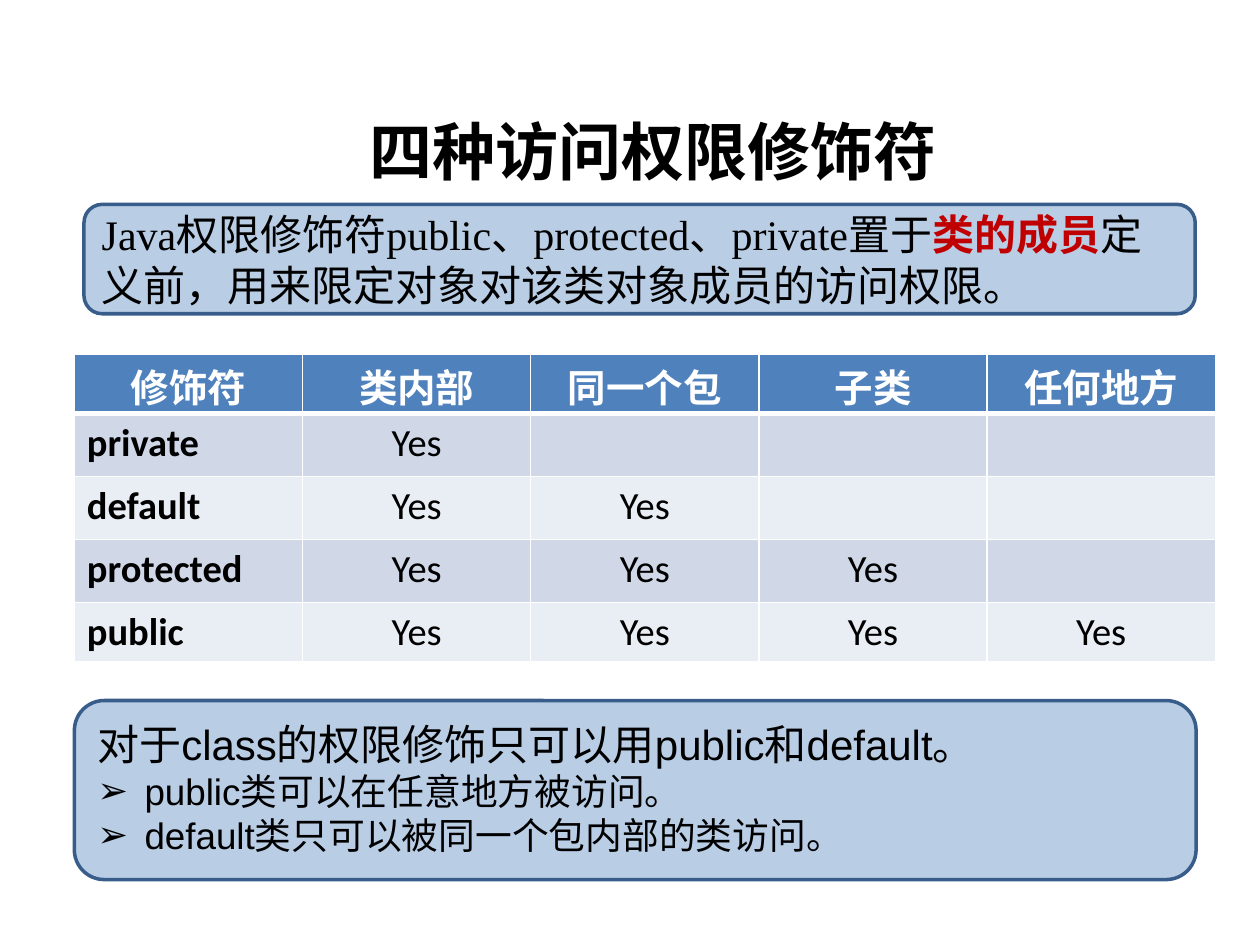
from lxml.etree import SubElement
from pptx import Presentation
from pptx.dml.color import RGBColor
from pptx.enum.shapes import MSO_SHAPE as Kind
from pptx.enum.text import MSO_ANCHOR as Anchor, PP_ALIGN as Align
from pptx.oxml.ns import qn
from pptx.util import Pt

HUES = {
    "panel": "B9CDE5", "edge": "385D8A", "text": "000000", "key": "C00000",
    "head": "4F81BD", "odd": "D0D8E8", "even": "E9EDF4", "white": "FFFFFF",
}
CJK = "Noto Sans CJK SC"
HEADS = ["修饰符", "类内部", "同一个包", "子类", "任何地方"]
LEVELS = ["private", "default", "protected", "public"]


def hue(name):
    return RGBColor.from_string(HUES[name])


def add_run(para, text, size, font, color="text", bold=False):
    run = para.add_run()
    run.text = text
    run.font.size, run.font.name, run.font.bold = Pt(size), font, bold
    run.font.color.rgb = hue(color)
    SubElement(run.font._element, qn("a:ea")).set("typeface", CJK)


def add_panel(slide, box):
    panel = slide.shapes.add_shape(Kind.ROUNDED_RECTANGLE, *map(Pt, box))
    panel.shadow.inherit = False
    panel.fill.solid()
    panel.fill.fore_color.rgb = hue("panel")
    panel.line.color.rgb = hue("edge")
    panel.line.width = Pt(2)
    return panel


def add_text(slide, box):
    frame = slide.shapes.add_textbox(*map(Pt, box)).text_frame
    frame.word_wrap = True
    return frame


def add_title(slide, box):
    para = add_text(slide, box).paragraphs[0]
    add_run(para, " 四种访问权限修饰符", 36, "Arial", bold=True)


def add_intro(slide, box):
    frame = add_panel(slide, box).text_frame
    frame.word_wrap = True
    frame.vertical_anchor = Anchor.MIDDLE
    para = frame.paragraphs[0]
    para.alignment = Align.LEFT
    font = "Times New Roman"
    add_run(para, "Java权限修饰符public、protected、private置于", 24, font)
    add_run(para, "类的成员", 24, font, "key", True)
    add_run(para, "定义前，用来限定对象对该类对象成员的访问权限。", 24, font)


def set_edges(cell, **widths):
    """Give a cell white borders, with widths in points by side."""
    props = cell._tc.get_or_add_tcPr()
    for i, (side, width) in enumerate(widths.items()):
        line = props.makeelement(qn(f"a:ln{side}"), {"w": str(Pt(width))})
        fill = SubElement(line, qn("a:solidFill"))
        SubElement(fill, qn("a:srgbClr")).set("val", HUES["white"])
        props.insert(i, line)


def fill_cell(cell, row, col):
    cell.fill.solid()
    shade = "head" if row == 0 else "odd" if row % 2 else "even"
    cell.fill.fore_color.rgb = hue(shade)
    set_edges(cell, L=1, R=1, T=3 if row == 1 else 1, B=1 if row else 3)
    cell.margin_top = Pt(3.6 if row else 2)
    cell.margin_bottom = Pt(2 if row else 0)
    para = cell.text_frame.paragraphs[0]
    para.alignment = Align.LEFT if row and not col else Align.CENTER
    if row == 0:
        add_run(para, HEADS[col], 22, CJK, "white", True)
    elif col == 0:
        add_run(para, LEVELS[row - 1], 22, "Calibri", bold=True)
    elif col <= row:
        add_run(para, "Yes", 22, "Calibri")
    else:
        para.font.size = Pt(22)


def add_grid(slide, box):
    rows, cols = len(LEVELS) + 1, len(HEADS)
    table = slide.shapes.add_table(rows, cols, *map(Pt, box)).table
    for col in table.columns:
        col.width = Pt(box[2] / cols)
    for r, row in enumerate(table.rows):
        row.height = Pt(34 if r in (0, rows - 1) else 36)
        for c, cell in enumerate(row.cells):
            fill_cell(cell, r, c)


def add_bullet(para, indent):
    props = para._p.get_or_add_pPr()
    props.set("marL", str(Pt(indent)))
    props.set("indent", str(-Pt(indent)))
    SubElement(props, qn("a:buFont")).set("typeface", "Arial")
    SubElement(props, qn("a:buChar")).set("char", "➢")


def add_rules(slide, box):
    left, top, width, height = box
    add_panel(slide, box)
    frame = add_text(slide, (left + 6, top + 6.5, width, height - 12))
    add_run(frame.paragraphs[0],
            "对于class的权限修饰只可以用public和default。", 24, "Arial")
    for text in ("public类可以在任意地方被访问。",
                 "default类只可以被同一个包内部的类访问。"):
        para = frame.add_paragraph()
        add_bullet(para, 27)
        add_run(para, text, 21, "Arial")


def main():
    deck = Presentation()
    deck.slide_width, deck.slide_height = Pt(720), Pt(540)
    slide = deck.slides.add_slide(deck.slide_layouts[6])
    add_intro(slide, (48, 116.8, 635, 62.5))
    add_title(slide, (196, 60.5, 414, 51))
    add_grid(slide, (42.5, 202.3, 652, 176))
    add_rules(slide, (42.5, 400.3, 641, 102.3))
    deck.save("out.pptx")


if __name__ == "__main__":
    main()
